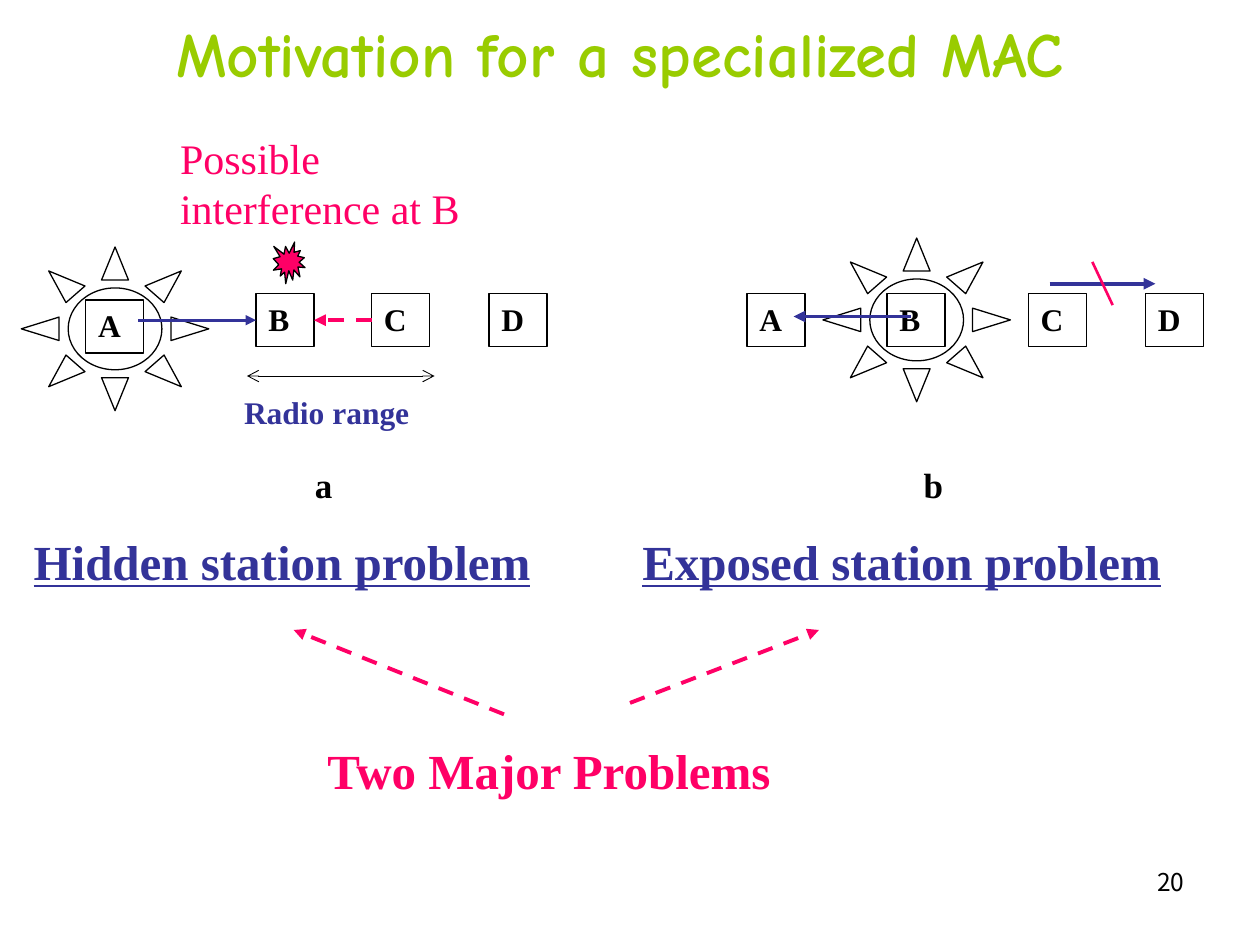
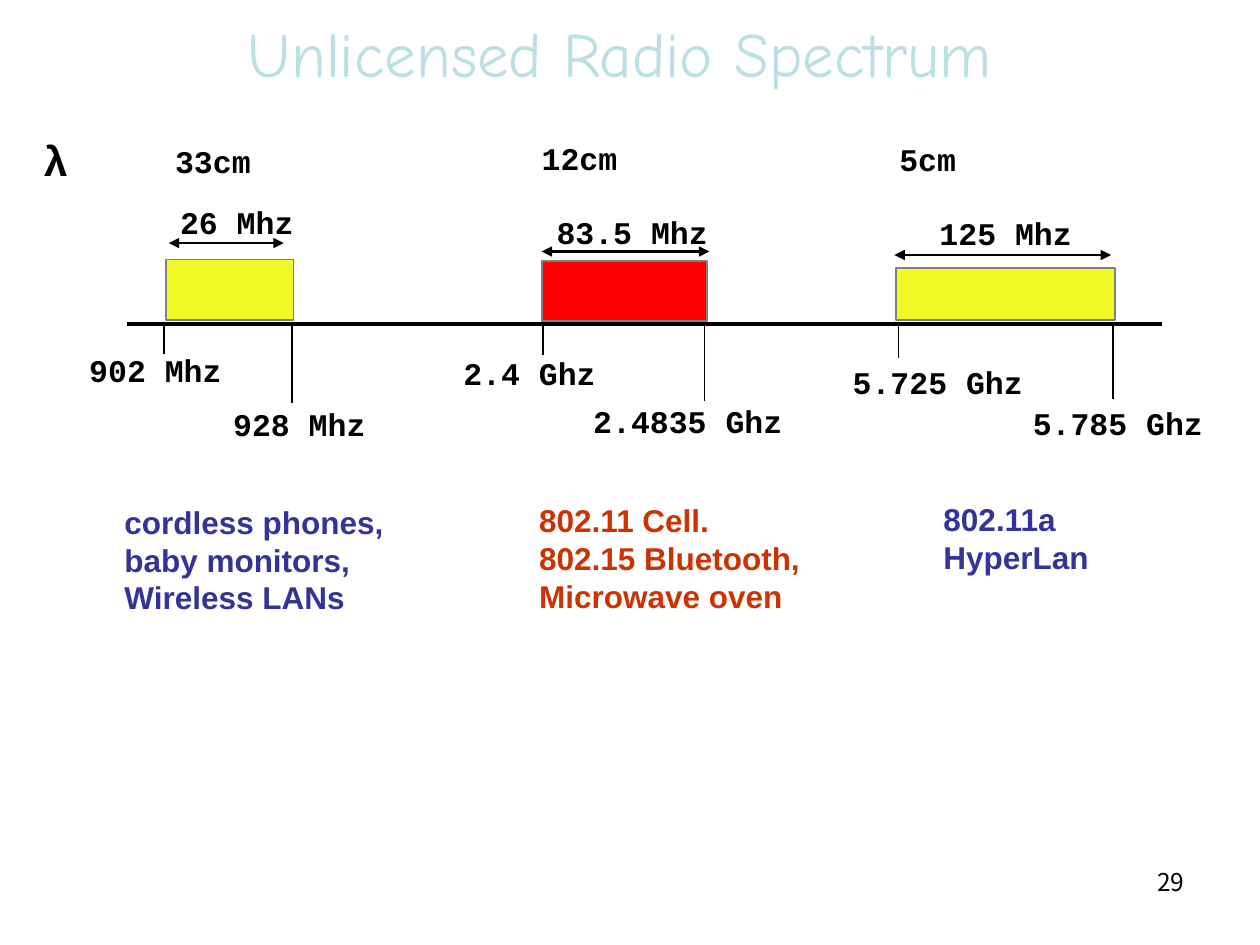
"""Builds two slides on wireless MAC problems and unlicensed radio bands."""
from dataclasses import dataclass

from lxml import etree
from pptx import Presentation
from pptx import util as u
from pptx.dml import color as dml_color
from pptx.enum import dml, shapes, text
from pptx.oxml import ns

BLACK, WHITE, GREY = "000000", "FFFFFF", "808080"
NAVY, PINK, RUST = "333399", "FF0066", "CC3300"
YELLOW, RED = "F0FA24", "FF0000"
GREEN, PALE_BLUE = "99CC00", "BBE0E3"
SERIF, SANS, MONO = "Times New Roman", "Arial", "Courier New"
TITLE_FONT, NUMBER_FONT = "Comic Neue", "Noto Sans CJK KR"
STATION_WIDTH, STATION_HEIGHT = 1.17, 1.07


@dataclass
class Band:
    """One radio band, with label and line places relative to its left edge."""
    left: float
    top: float
    width: float
    height: float
    fill: str
    span: tuple
    ticks: tuple
    labels: tuple
    uses: tuple
    uses_place: tuple
    uses_colour: str


BANDS = (
    Band(3.35, 5.23, 2.57, 1.22, YELLOW, (0.05, 2.37, 4.9),
         ((-0.05, 7.14), (2.54, 8.13)),
         (("33cm", -0.07, 2.74), ("26 Mhz", 0.03, 3.96),
          ("902 Mhz", -1.8, 6.96), ("928 Mhz", 1.1, 8.05)),
         ("cordless phones,", "baby monitors,", "Wireless LANs"),
         (-1.09, 10.01), NAVY),
    Band(10.92, 5.26, 3.33, 1.22, RED, (0, 3.38, 5.07),
         ((0.03, 7.16), (3.28, 8.08)),
         (("12cm", -0.25, 2.67), ("83.5 Mhz", 0.05, 4.17),
          ("2.4 Ghz", -1.83, 7.01), ("2.4835 Ghz", 0.79, 7.98)),
         ("802.11 Cell.", "802.15 Bluetooth,", "Microwave oven"),
         (-0.3, 9.98), RUST),
    Band(18.06, 5.41, 4.42, 1.04, YELLOW, (-0.03, 4.34, 5.14),
         ((0.05, 7.21), (4.37, 8.05)),
         (("5cm", -0.18, 2.69), ("125 Mhz", 0.63, 4.19),
          ("5.725 Ghz", -1.12, 7.19), ("5.785 Ghz", 2.51, 8.03)),
         ("802.11a", "HyperLan"), (0.71, 9.96), NAVY),
)


def colour(value):
    """Turn a hex string into a colour."""
    return dml_color.RGBColor.from_string(value)


def cm(*lengths):
    """Turn numbers into centimetre lengths."""
    return [u.Cm(length) for length in lengths]


def write(shape, lines, size, font, tint, bold=False, underline=False,
          align=text.PP_ALIGN.LEFT, anchor=text.MSO_ANCHOR.TOP):
    """Fill a shape with equally formatted paragraphs."""
    frame = shape.text_frame
    frame.word_wrap = True
    frame.auto_size = text.MSO_AUTO_SIZE.NONE
    frame.vertical_anchor = anchor
    frame.text = "\n".join(lines)
    for para in frame.paragraphs:
        para.alignment = align
        para.font.size = u.Pt(size)
        para.font.name = font
        para.font.bold = bold
        para.font.underline = underline
        para.font.color.rgb = colour(tint)


def add_label(page, place, lines, size, font, tint, **style):
    """Add a text box at left, top, width, height."""
    box = page.shapes.add_textbox(*cm(*place))
    write(box, lines, size, font, tint, **style)
    return box


def add_figure(page, kind, place, fill, line=BLACK, width=0.75):
    """Add an outlined preset shape, unfilled when fill is None."""
    figure = page.shapes.add_shape(kind, *cm(*place))
    figure.shadow.inherit = False
    if fill:
        figure.fill.solid()
        figure.fill.fore_color.rgb = colour(fill)
    else:
        figure.fill.background()
    figure.line.color.rgb = colour(line)
    figure.line.width = u.Pt(width)
    return figure


def add_line(page, ends, tint, width, head=None, tail=None, dashed=False):
    """Add a straight line from x, y to x, y with optional arrowheads."""
    line = page.shapes.add_connector(shapes.MSO_CONNECTOR.STRAIGHT, *cm(*ends))
    line.line.color.rgb = colour(tint)
    line.line.width = u.Pt(width)
    if dashed:
        line.line.dash_style = dml.MSO_LINE.DASH
    outline = line.line._get_or_add_ln()
    for name, kind in (("a:headEnd", head), ("a:tailEnd", tail)):
        if kind:
            etree.SubElement(outline, ns.qn(name), type=kind)
    etree.SubElement(line._element.spPr, ns.qn("a:effectLst"))
    return line


def start_page(deck, title, tint, number, bold):
    """Add a slide with its title and page number."""
    page = deck.slides.add_slide(deck.slide_layouts[5])
    heading = page.shapes.title
    heading.left, heading.top, heading.width, heading.height = cm(1.7, 0.1, 21.59, 1.9)
    write(heading, [title], 36, TITLE_FONT, tint, bold=bold,
          align=text.PP_ALIGN.CENTER, anchor=text.MSO_ANCHOR.MIDDLE)
    add_label(page, (18.21, 17.35, 5.92, 1.32), [number], 14, NUMBER_FONT, BLACK,
              align=text.PP_ALIGN.RIGHT)
    return page


def add_stations(page, left, top, places, sun_place, letter, problem):
    """Draw the stations A to D, the sending sun and the captions of a panel."""
    stations = {}
    for name, (x, y) in zip("ABCD", places):
        station = add_figure(page, shapes.MSO_SHAPE.RECTANGLE,
                             (left + x, top + y, STATION_WIDTH, STATION_HEIGHT), WHITE)
        write(station, [name], 18, SERIF, BLACK, bold=True)
        stations[name] = station
    sun_x, sun_y = sun_place
    add_figure(page, shapes.MSO_SHAPE.SUN, (left + sun_x, top + sun_y, 3.78, 3.3), None)
    add_label(page, (left + 5.67, top + 6.68, 1.4, 1.2), [letter], 20, SERIF, BLACK,
              bold=True)
    add_label(page, (left, top + 8.05, 11.43, 1.45), [problem], 28, SERIF, NAVY,
              bold=True, underline=True)
    return stations


def add_hidden_panel(page, left, top):
    """Draw the hidden station problem."""
    stations = add_stations(
        page, left, top, ((1.3, 3.51), (4.73, 3.38), (7.06, 3.38), (9.43, 3.38)),
        (0, 2.44), "a", "Hidden station problem")
    middle = top + 3.38 + STATION_HEIGHT / 2
    sending = add_line(page, (left + 2.36, middle, left + 4.73, middle), NAVY, 1.5,
                       tail="triangle")
    sending.end_connect(stations["B"], 1)
    disturbing = add_line(page, (left + 7.06, middle, left + 5.9, middle), PINK, 2.25,
                          tail="triangle", dashed=True)
    disturbing.begin_connect(stations["C"], 1)
    disturbing.end_connect(stations["B"], 3)
    add_line(page, (left + 4.55, top + 5.04, left + 8.33, top + 5.04), BLACK, 0.5,
             head="arrow", tail="arrow")
    add_label(page, (left + 4.24, top + 5.26, 4.24, 1.09), ["Radio range"], 18, SERIF,
              NAVY, bold=True)
    add_label(page, (left + 2.95, top, 6.78, 2.29), ["Possible interference at B"],
              24, SERIF, PINK)
    add_figure(page, shapes.MSO_SHAPE.EXPLOSION1,
               (left + 5.08, top + 2.34, 0.64, 0.84), PINK)


def add_exposed_panel(page, left, top):
    """Draw the exposed station problem."""
    add_stations(page, left, top, [(x, 3.38) for x in (2.36, 5.18, 8.03, 10.39)],
                 (3.89, 2.26), "b", "Exposed station problem")
    for start, end, y in ((5.66, 3.3, 3.84), (8.46, 10.59, 3.18)):
        add_line(page, (left + start, top + y, left + end, top + y), NAVY, 2.25,
                 tail="triangle")
    add_line(page, (left + 9.32, top + 2.74, left + 9.73, top + 3.61), PINK, 1.5)


def add_conclusion(page, left, top):
    """Point from the conclusion to both problems."""
    add_label(page, (left, top, 10.16, 1.45), ["Two Major Problems"], 28, SERIF, PINK,
              bold=True)
    for start_x, start_y, end_x in ((3.81, -0.41, -0.43), (6.35, -0.64, 10.16)):
        add_line(page, (left + start_x, top + start_y, left + end_x, top - 2.11),
                 PINK, 2.25, tail="triangle", dashed=True)


def add_band(page, band, axis):
    """Draw one band above the axis with its limits, width and uses."""
    left = band.left
    add_figure(page, shapes.MSO_SHAPE.RECTANGLE,
               (left, band.top, band.width, band.height), band.fill, GREY, 1)
    start, end, y = band.span
    add_line(page, (left + start, y, left + end, y), BLACK, 1.5,
             head="triangle", tail="triangle")
    for x, bottom in band.ticks:
        add_line(page, (left + x, axis, left + x, bottom), BLACK, 1)
    for words, x, y in band.labels:
        add_label(page, (left + x, y, 0.38 * len(words) + 0.8, 1.02), [words], 18, MONO,
                  BLACK, bold=True)
    x, y = band.uses_place
    add_label(page, (left + x, y, 6, 0.76 * len(band.uses) + 0.25), band.uses, 18, SANS,
              band.uses_colour, bold=True)


def build_problems(deck):
    """Build the slide on hidden and exposed stations."""
    page = start_page(deck, "Motivation for a specialized MAC", GREEN, "20", True)
    add_hidden_panel(page, 0.43, 2.54)
    add_exposed_panel(page, 12.7, 2.54)
    add_conclusion(page, 6.35, 14.81)


def build_spectrum(deck):
    """Build the slide on the unlicensed bands."""
    page = start_page(deck, "Unlicensed Radio Spectrum", PALE_BLUE, "29", False)
    axis = 6.53
    add_line(page, (2.57, axis, 23.42, axis), BLACK, 2.25)
    add_label(page, (0.64, 2.59, 1.2, 1.27), ["λ"], 24, SANS, BLACK, bold=True)
    for band in BANDS:
        add_band(page, band, axis)


def main():
    """Build and save the deck."""
    deck = Presentation()
    deck.slide_width, deck.slide_height = cm(25.4, 19.05)
    build_problems(deck)
    build_spectrum(deck)
    deck.save("out.pptx")


if __name__ == "__main__":
    main()
